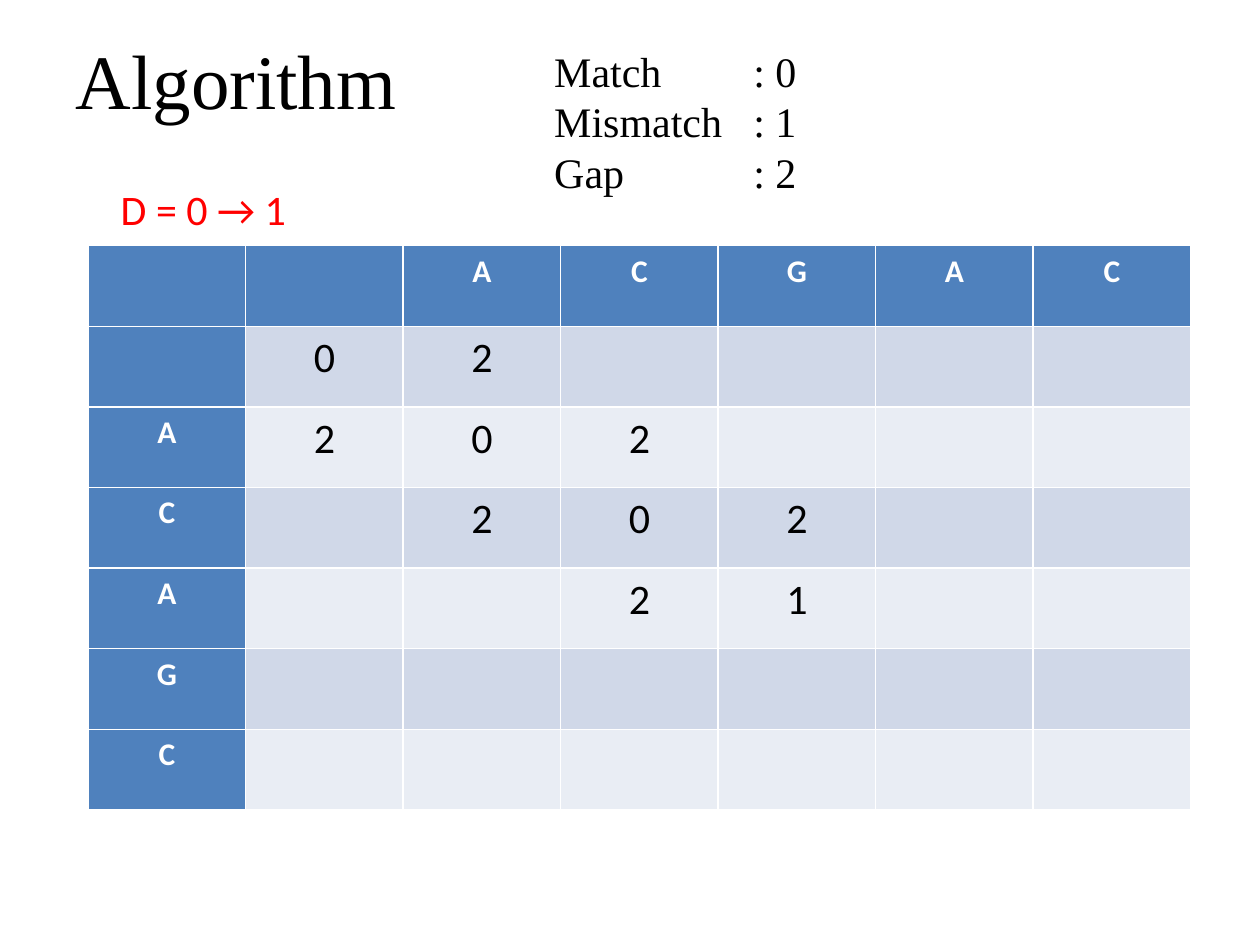
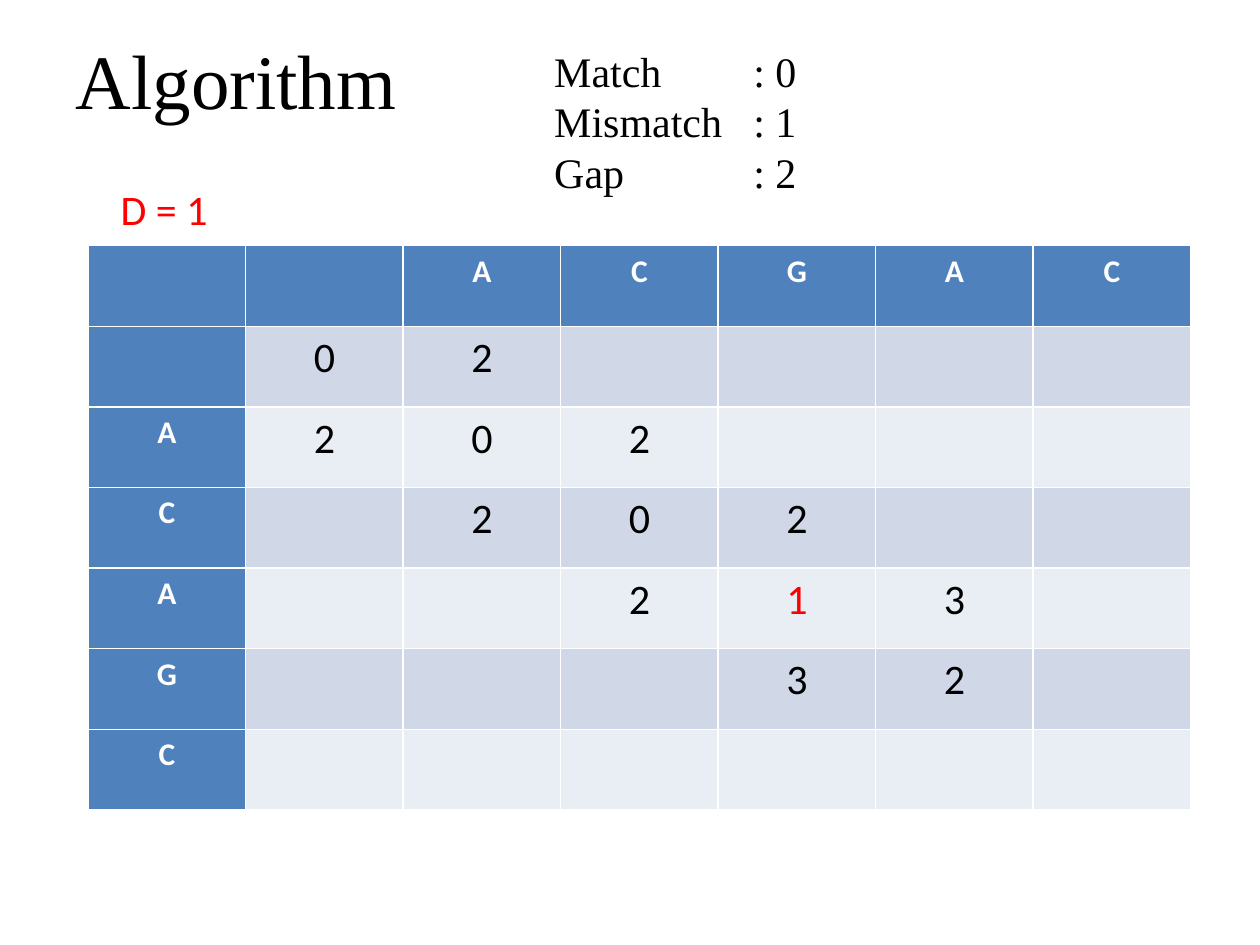
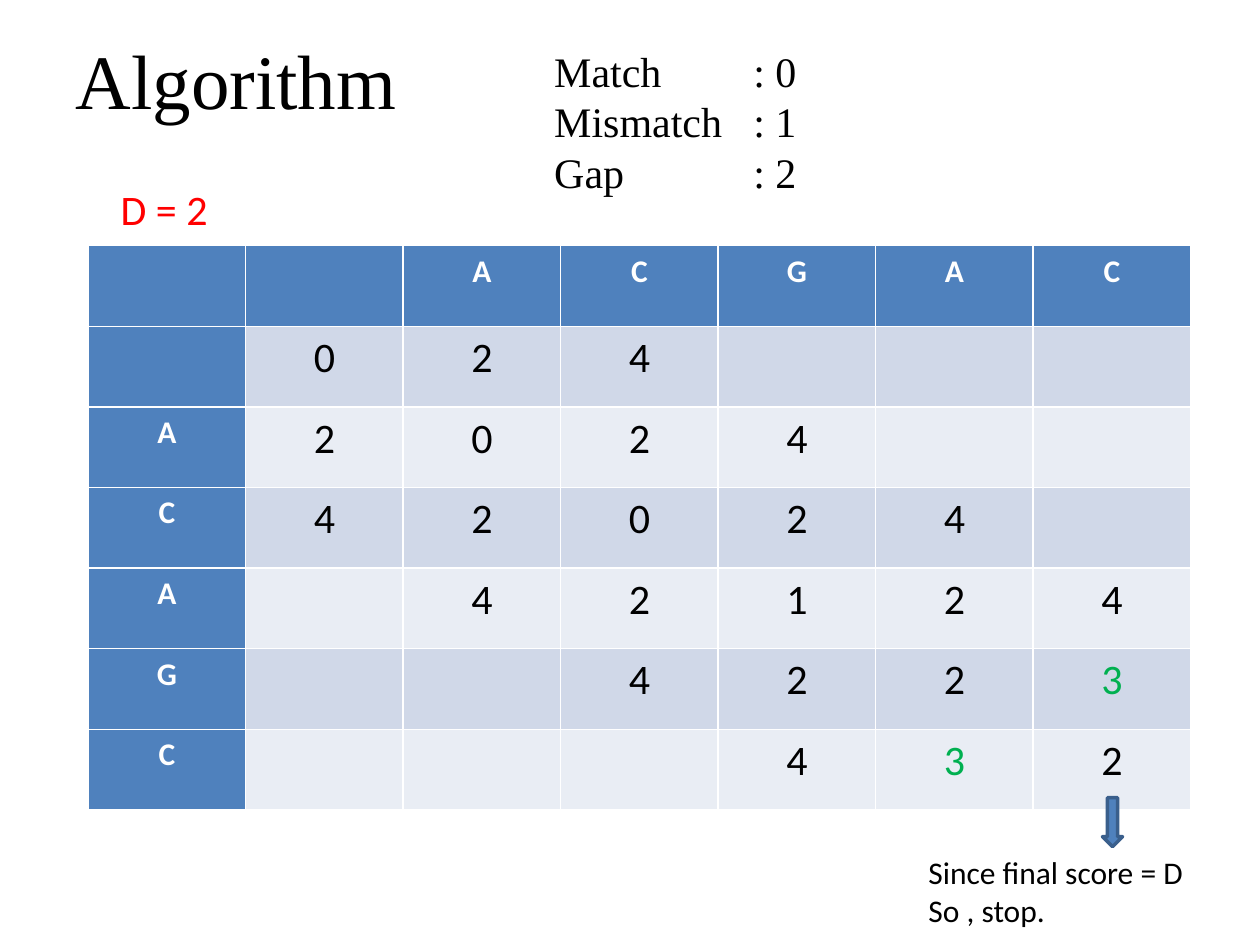
"""Build three slides that fill an alignment matrix band by band."""
from lxml.etree import SubElement
from pptx import Presentation
from pptx.dml.color import RGBColor
from pptx.enum.shapes import MSO_SHAPE
from pptx.enum.text import MSO_ANCHOR, MSO_AUTO_SIZE, PP_ALIGN
from pptx.oxml.ns import qn
from pptx.util import Inches, Pt

COLORS = {
    "black": "000000", "white": "FFFFFF", "red": "FF0000", "green": "00B050",
    "head": "4F81BD", "edge": "3A5F8C", "odd": "D0D8E8", "even": "E9EDF4",
}
SERIF, SANS = "Times New Roman", "Calibri"
TOP, SIDE = "  ACGAC", "  ACAGC"
SCORES = ["Match\t: 0", "Mismatch\t: 1", "Gap\t: 2"]
STEPS = [
    ("D = 0 → 1", 1.71, ["02", "202", " 202", "  21"], {}),
    ("D = 1", 0.9, ["02", "202", " 202", "  213", "   32"], {(4, 4): "red"}),
    ("D = 2", 0.9, ["024", "2024", "42024", " 42124", "  4223", "   432"],
     {(5, 6): "green", (6, 5): "green"}),
]


class Deck:
    """Hold the style and the current slide."""

    def __init__(self):
        self.file = Presentation()
        self.file.slide_width, self.file.slide_height = Inches(10), Inches(7.5)
        self.slide = None

    def color(self, name):
        """Return the named colour."""
        return RGBColor.from_string(COLORS[name])

    def style(self, para, size, face, color, bold=False):
        """Format every run of a paragraph."""
        for run in para.runs:
            font = run.font
            font.size, font.name, font.bold = Pt(size), face, bold
            font.color.rgb = self.color(color)

    def title(self, text):
        """Start a slide with its title."""
        self.slide = self.file.slides.add_slide(self.file.slide_layouts[5])
        shape = self.slide.shapes.title
        shape.left, shape.top = Inches(0.5), Inches(0)
        shape.width, shape.height = Inches(9), Inches(1.25)
        frame = shape.text_frame
        frame.text = text
        frame.vertical_anchor = MSO_ANCHOR.MIDDLE
        frame.paragraphs[0].alignment = PP_ALIGN.LEFT
        self.style(frame.paragraphs[0], 44, SERIF, "black")

    def note(self, lines, spot, size, face=SANS, color="black", wrap=False, tab=None):
        """Add a text box with one paragraph per line."""
        box = self.slide.shapes.add_textbox(*map(Inches, spot))
        frame = box.text_frame
        frame.text = "\n".join(lines)
        frame.word_wrap = wrap
        frame.auto_size = MSO_AUTO_SIZE.SHAPE_TO_FIT_TEXT
        for para in frame.paragraphs:
            if tab:
                stops = SubElement(para._p.get_or_add_pPr(), qn("a:tabLst"))
                SubElement(stops, qn("a:tab"), pos=str(Inches(tab)), algn="l")
            self.style(para, size, face, color)

    def matrix(self, rows, marks):
        """Add the score table with coloured marks."""
        count = len(TOP)
        table = self.slide.shapes.add_table(
            count, count, Inches(0.7), Inches(1.95),
            Inches(1.25 * count), Inches(0.64 * count)).table
        lines = [TOP] + [mark + row for mark, row in zip(SIDE[1:], rows)]
        lines += list(SIDE[len(lines):])
        for i, line in enumerate(lines):
            for j, text in enumerate(line.ljust(count)):
                cell = table.cell(i, j)
                head = i == 0 or j == 0
                cell.fill.solid()
                fill = "head" if head else "odd" if i % 2 else "even"
                cell.fill.fore_color.rgb = self.color(fill)
                if text == " ":
                    continue
                cell.text_frame.text = text
                para = cell.text_frame.paragraphs[0]
                para.alignment = PP_ALIGN.CENTER
                tone = "white" if head else marks.get((i, j), "black")
                self.style(para, 18 if head else 24, SANS, tone, head)

    def arrow(self, spot):
        """Add a block arrow that points down."""
        shape = self.slide.shapes.add_shape(MSO_SHAPE.DOWN_ARROW, *map(Inches, spot))
        shape.shadow.inherit = False
        shape.fill.solid()
        shape.fill.fore_color.rgb = self.color("head")
        shape.line.color.rgb = self.color("edge")
        shape.line.width = Pt(2)


def main():
    """Build and save the deck."""
    deck = Deck()
    for label, width, rows, marks in STEPS:
        deck.title("Algorithm")
        deck.note(SCORES, (4.3, 0.31, 3.28, 1.31), 24, SERIF, wrap=True, tab=1.58)
        deck.matrix(rows, marks)
        deck.note([label], (0.86, 1.41, width, 0.5), 24, color="red")
    deck.note(["Since final score = D", "So , stop."], (7.27, 6.72, 2.31, 0.71), 18)
    deck.arrow((8.75, 6.33, 0.16, 0.39))
    deck.file.save("out.pptx")


if __name__ == "__main__":
    main()
